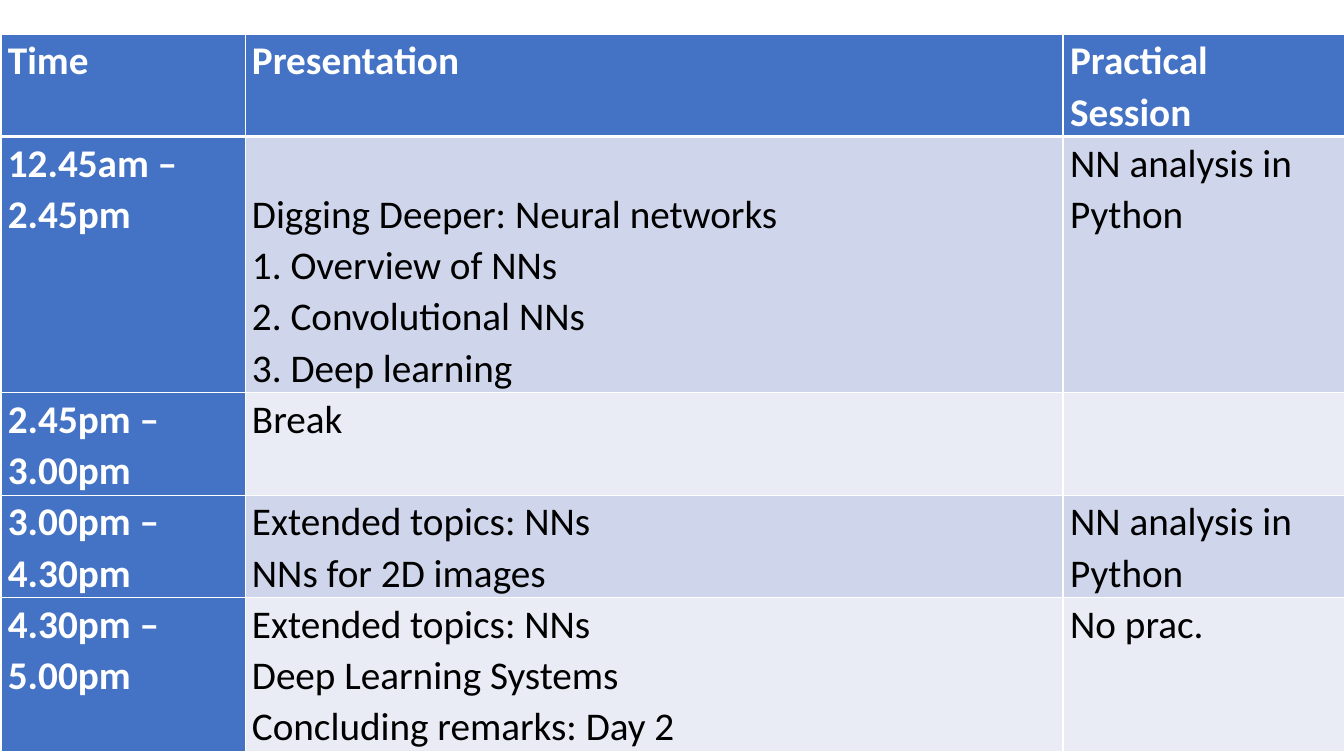
from dataclasses import dataclass

from lxml import etree
from pptx import Presentation
from pptx import util as u
from pptx.dml.color import RGBColor
from pptx.oxml import ns
from pptx.table import _Cell


@dataclass(frozen=True)
class Theme:
    font: str = "Calibri"
    size: int = 28
    line_spacing: float = 1.07
    heading_fill: str = "4472C4"
    bands: tuple[str, str] = ("CFD5EA", "E9EBF5")
    heading_text: str = "FFFFFF"
    body_text: str = "000000"
    border: str = "FFFFFF"
    thin: int = 1
    thick: int = 3


@dataclass(frozen=True)
class Session:
    height: float
    time: str
    presentation: str
    practical: str
    presentation_top: float = 0


THEME = Theme()
COLUMN_WIDTHS = (6.15, 20.6, 7.11)
LEFT_INSETS = (0.16, 0.16, 0.18)
RIGHT_INSET = 0.25
ONE_LINE = 1.29

# In cell text, "\n" starts a paragraph and "\v" breaks a line.
SCHEDULE = (
    Session(1.14, "Time", "Presentation", "Practical Session"),
    Session(
        5.66,
        "12.45am – 2.45pm",
        "Digging Deeper: Neural networks\n1. Overview of NNs\n"
        "2. Convolutional NNs\n3. Deep learning",
        "NN analysis in Python",
        presentation_top=ONE_LINE,
    ),
    Session(2.29, "2.45pm – 3.00pm", "Break", ""),
    Session(
        2.29,
        "3.00pm – 4.30pm",
        "Extended topics: NNs\vNNs for 2D images",
        "NN analysis in Python",
    ),
    Session(
        3.38,
        "4.30pm – 5.00pm",
        "Extended topics: NNs\nDeep Learning Systems\nConcluding remarks: Day 2",
        "No prac.",
    ),
)


def set_borders(cell: _Cell, top: int, bottom: int) -> None:
    """Draw all four cell edges; call before filling, as the schema orders lines first."""
    properties = cell._tc.get_or_add_tcPr()
    widths = {"L": THEME.thin, "R": THEME.thin, "T": top, "B": bottom}
    for side, width in widths.items():
        line = etree.SubElement(properties, ns.qn(f"a:ln{side}"), w=str(u.Pt(width)))
        fill = etree.SubElement(line, ns.qn("a:solidFill"))
        etree.SubElement(fill, ns.qn("a:srgbClr"), val=THEME.border)


def write_text(cell: _Cell, content: str, heading: bool) -> None:
    cell.text_frame.text = content
    color = THEME.heading_text if heading else THEME.body_text
    for para in cell.text_frame.paragraphs:
        para.line_spacing = THEME.line_spacing
        for span in para.runs:
            span.font.name = THEME.font
            span.font.size = u.Pt(THEME.size)
            span.font.bold = heading
            span.font.color.rgb = RGBColor.from_string(color)


def style_cell(cell: _Cell, row: int, column: int, top_inset: float) -> None:
    cell.margin_left = u.Cm(LEFT_INSETS[column])
    cell.margin_right = u.Cm(RIGHT_INSET)
    cell.margin_top = u.Cm(top_inset)
    cell.margin_bottom = 0
    set_borders(
        cell,
        top=THEME.thick if row == 1 else THEME.thin,
        bottom=THEME.thick if row == 0 else THEME.thin,
    )
    heading = row == 0 or column == 0
    color = THEME.heading_fill if heading else THEME.bands[(row - 1) % 2]
    cell.fill.solid()
    cell.fill.fore_color.rgb = RGBColor.from_string(color)


def main() -> None:
    deck = Presentation()
    deck.slide_width, deck.slide_height = u.Cm(33.87), u.Cm(19.05)
    page = deck.slides.add_slide(deck.slide_layouts[6])
    table = page.shapes.add_table(
        len(SCHEDULE),
        len(COLUMN_WIDTHS),
        u.Cm(0.04),
        u.Cm(0.86),
        u.Cm(sum(COLUMN_WIDTHS)),
        u.Cm(sum(session.height for session in SCHEDULE)),
    ).table
    table.first_col = True

    for column, width in zip(table.columns, COLUMN_WIDTHS):
        column.width = u.Cm(width)
    for row, session in enumerate(SCHEDULE):
        table.rows[row].height = u.Cm(session.height)
        contents = (session.time, session.presentation, session.practical)
        for column, content in enumerate(contents):
            cell = table.cell(row, column)
            style_cell(cell, row, column, session.presentation_top if column == 1 else 0)
            write_text(cell, content, heading=row == 0 or column == 0)

    deck.save("out.pptx")


if __name__ == "__main__":
    main()
